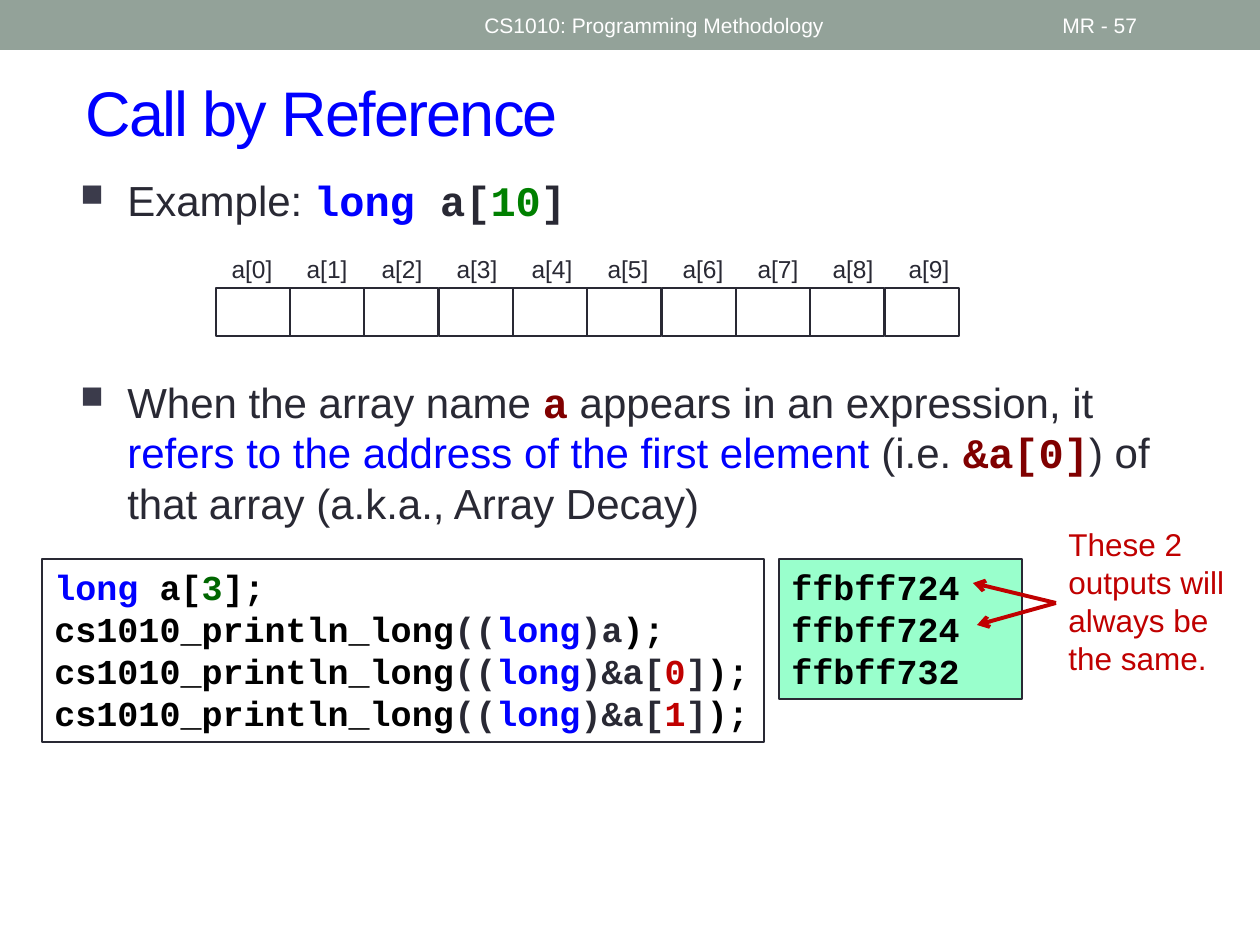
"""Build the "Call by Reference" slide with its array diagram and code sample."""

from typing import NamedTuple

from lxml import etree
from pptx import Presentation
from pptx.dml.color import RGBColor
from pptx.enum.shapes import MSO_CONNECTOR, MSO_SHAPE
from pptx.enum.text import MSO_ANCHOR, PP_ALIGN
from pptx.oxml.ns import qn
from pptx.util import Emu, Pt

EMU_PER_INCH = 914400
PX_PER_INCH = 126
RECTANGLE = MSO_SHAPE.RECTANGLE
STRAIGHT = MSO_CONNECTOR.STRAIGHT
TOP = MSO_ANCHOR.TOP
MIDDLE = MSO_ANCHOR.MIDDLE
LEFT = PP_ALIGN.LEFT
CENTER = PP_ALIGN.CENTER
LEFT_SIDE = 1

SANS = "Arial"
MONO = "Courier New"
INK = RGBColor(0x29, 0x29, 0x34)
BLACK = RGBColor(0x00, 0x00, 0x00)
WHITE = RGBColor(0xFF, 0xFF, 0xFF)
BLUE = RGBColor(0x00, 0x00, 0xFF)
GREEN = RGBColor(0x00, 0x80, 0x00)
DARK_GREEN = RGBColor(0x00, 0x66, 0x00)
MAROON = RGBColor(0x80, 0x00, 0x00)
RED = RGBColor(0xC0, 0x00, 0x00)
MINT = RGBColor(0x99, 0xFF, 0xCC)
HEADER_GRAY = RGBColor(0x93, 0xA2, 0x99)
BULLET_COLOR = "3B3B4B"

CELL_COUNT = 10


class Box(NamedTuple):
    left: int
    top: int
    width: int
    height: int


class Run(NamedTuple):
    text: str
    color: RGBColor = INK
    font: str = SANS


class Point(NamedTuple):
    x: int
    y: int


def px(length: int) -> Emu:
    """Convert pixels to EMU."""
    return Emu(round(length * EMU_PER_INCH / PX_PER_INCH))


def code(text: str, color: RGBColor = INK) -> Run:
    """Return a run in the code font."""
    return Run(text, color, MONO)


def fill_text(shape, lines: list[list[Run]], size: int, align=LEFT, anchor=TOP, wrap=True) -> None:
    """Write lines of runs into a shape."""
    frame = shape.text_frame
    frame.word_wrap = wrap
    frame.vertical_anchor = anchor
    for index, line in enumerate(lines):
        paragraph = frame.add_paragraph() if index else frame.paragraphs[0]
        paragraph.alignment = align
        for part in line:
            run = paragraph.add_run()
            run.text = part.text
            run.font.name = part.font
            run.font.size = Pt(size)
            run.font.bold = part.font == MONO
            run.font.color.rgb = part.color


def add_text(slide, box: Box, runs: list[Run], size: int, align=LEFT, anchor=TOP, wrap=True):
    """Add a one-paragraph text box."""
    shape = slide.shapes.add_textbox(*map(px, box))
    fill_text(shape, [runs], size, align, anchor, wrap)
    return shape


def add_bullet(slide, box: Box, runs: list[Run]) -> None:
    """Add a text box with one square-bulleted paragraph."""
    shape = add_text(slide, box, runs, 24)
    properties = shape.text_frame.paragraphs[0]._p.get_or_add_pPr()
    properties.set("marL", str(px(47)))
    properties.set("indent", str(px(-47)))
    color = etree.SubElement(properties, qn("a:buClr"))
    etree.SubElement(color, qn("a:srgbClr"), val=BULLET_COLOR)
    etree.SubElement(properties, qn("a:buSzPct"), val="75000")
    etree.SubElement(properties, qn("a:buChar"), char="■")


def add_rectangle(slide, box: Box, fill: RGBColor | None, line_width: float):
    """Add a rectangle, outlined when the line width is above zero."""
    shape = slide.shapes.add_shape(RECTANGLE, *map(px, box))
    shape.shadow.inherit = False
    if fill is None:
        shape.fill.background()
    else:
        shape.fill.solid()
        shape.fill.fore_color.rgb = fill
    if line_width:
        shape.line.color.rgb = INK
        shape.line.width = Pt(line_width)
    else:
        shape.line.fill.background()
    return shape


def add_arrow(slide, source, target: Point) -> None:
    """Add an arrow from the left side of a shape to a point."""
    connector = slide.shapes.add_connector(STRAIGHT, 0, 0, px(target.x), px(target.y))
    connector.begin_connect(source, LEFT_SIDE)
    connector.line.color.rgb = RED
    connector.line.width = Pt(2.25)
    etree.SubElement(connector.line._get_or_add_ln(), qn("a:tailEnd"), type="arrow")
    etree.SubElement(connector._element.spPr, qn("a:effectLst"))


def add_array(slide) -> None:
    """Draw the labelled array cells."""
    for index in range(CELL_COUNT):
        label_left = 218 + index * 677 // 9
        cell_left = 216 + index * 669 // 9
        label = [Run(f"a[{index}]")]
        add_text(slide, Box(label_left, 248, 68, 43), label, 14, CENTER, wrap=False)
        add_rectangle(slide, Box(cell_left, 288, 74, 48), None, 1)


def print_call(argument: list[Run]) -> list[Run]:
    """Return the code line that prints one argument as a long."""
    return [
        code("cs1010_println_long", BLACK), code("(("), code("long", BLUE),
        *argument, code(");", BLACK),
    ]


def main() -> None:
    """Build and save the presentation."""
    presentation = Presentation()
    presentation.slide_width = px(1260)
    presentation.slide_height = px(945)
    slide = presentation.slides.add_slide(presentation.slide_layouts[6])

    add_rectangle(slide, Box(0, 0, 1260, 50), HEADER_GRAY, 0)
    course = [Run("CS1010: Programming Methodology", WHITE)]
    add_text(slide, Box(472, 3, 567, 45), course, 12, anchor=MIDDLE)
    add_text(slide, Box(1050, 3, 147, 45), [Run("MR - 57", WHITE)], 12, anchor=MIDDLE)

    heading = [Run("Call by Reference", BLUE)]
    title = add_text(slide, Box(73, 53, 1155, 116), heading, 36, anchor=MIDDLE)
    title.text_frame.paragraphs[0].runs[0].font._element.set("spc", "-100")

    add_bullet(slide, Box(68, 168, 1120, 92), [
        Run("Example: "), code("long ", BLUE), code("a["), code("10", GREEN), code("]"),
    ])
    add_bullet(slide, Box(68, 370, 1120, 168), [
        Run("When the array name "), code("a", MAROON),
        Run(" appears in an expression, it "),
        Run("refers to the address of the first element ", BLUE),
        Run("(i.e. "), code("&a[0]", MAROON),
        Run(") of that array (a.k.a., Array Decay)"),
    ])
    add_array(slide)

    declaration = [
        code("long", BLUE), code(" a[", BLACK), code("3", DARK_GREEN), code("];", BLACK),
    ]
    element_calls = [
        print_call([code(")&a["), code(index, RED), code("]")]) for index in "01"
    ]
    listing = add_rectangle(slide, Box(42, 559, 722, 183), WHITE, 0.75)
    fill_text(listing, [declaration, print_call([code(")a")]), *element_calls], 20)

    output = add_rectangle(slide, Box(779, 559, 243, 140), MINT, 0.75)
    addresses = ("ffbff724", "ffbff724", "ffbff732")
    fill_text(output, [[code(address, BLACK)] for address in addresses], 20)

    remark = [Run("These 2 outputs will always be the same.", RED)]
    callout = add_text(slide, Box(1056, 519, 183, 168), remark, 18)
    for target in (Point(973, 583), Point(977, 625)):
        add_arrow(slide, callout, target)

    presentation.save("out.pptx")


if __name__ == "__main__":
    main()
